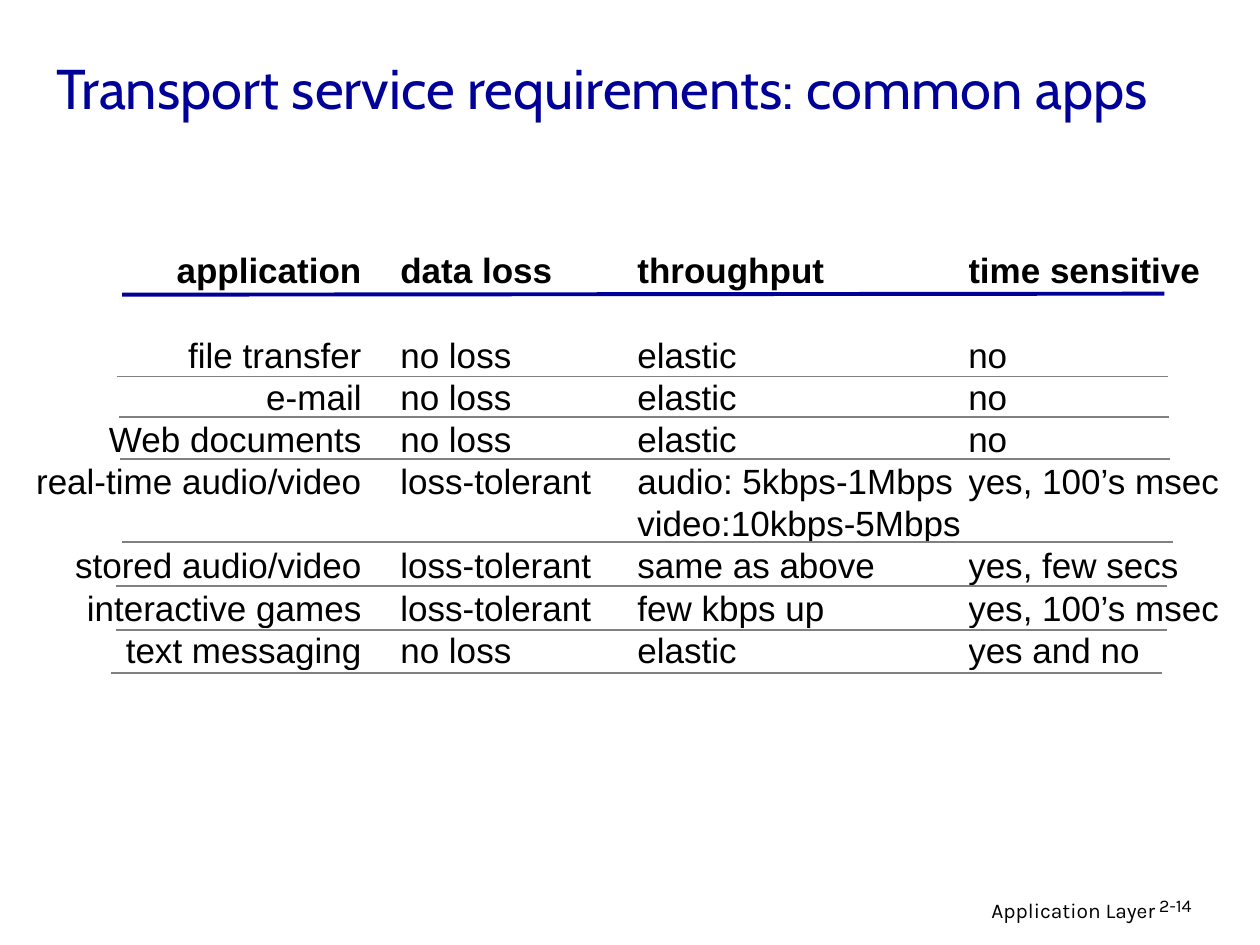
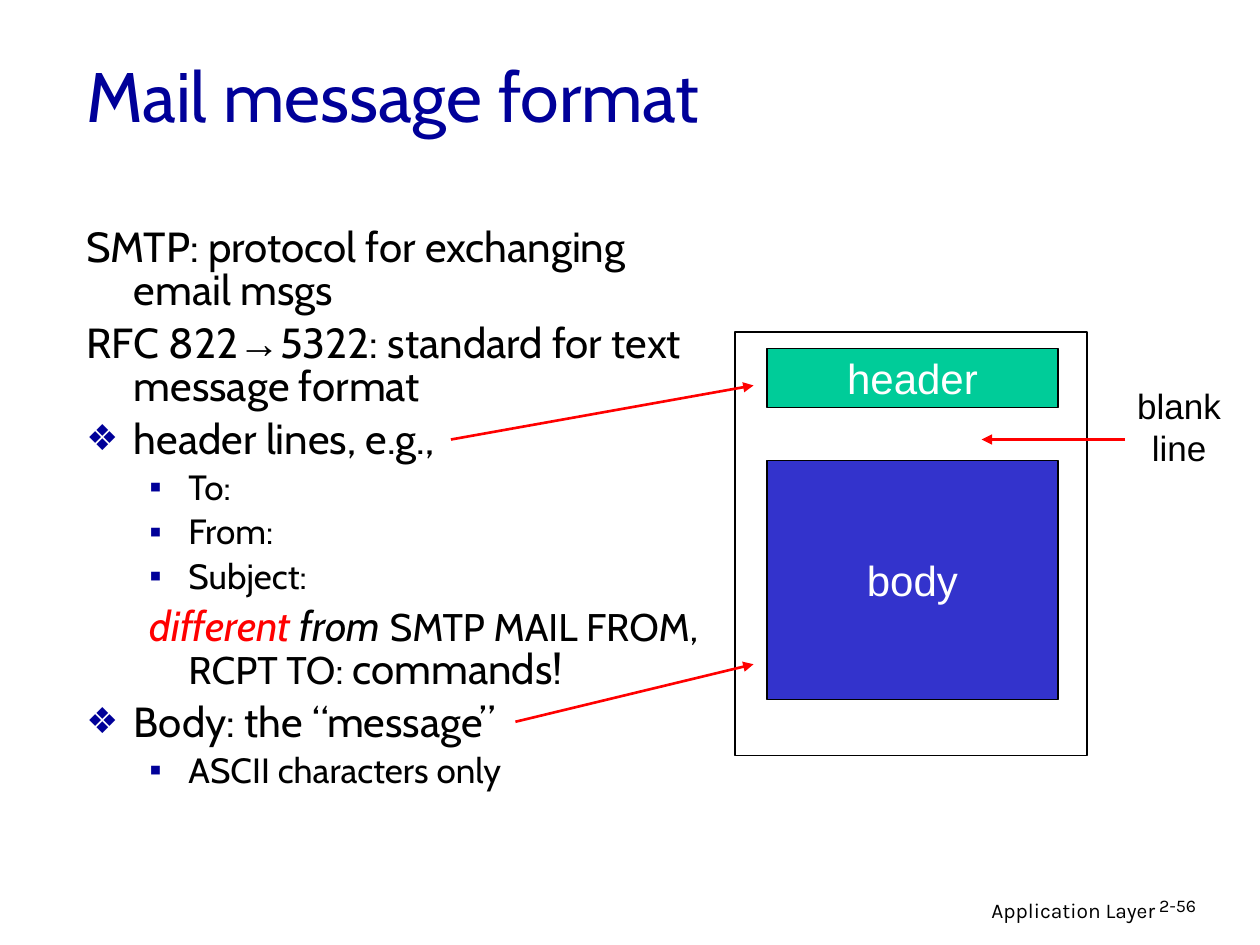
"""Build two application-layer slides: transport requirements and mail message format."""
from dataclasses import dataclass

from lxml.etree import SubElement
from pptx import Presentation
from pptx.dml.color import RGBColor as Rgb
from pptx.enum.shapes import MSO_CONNECTOR as Connector, MSO_SHAPE as Shape
from pptx.enum.text import MSO_ANCHOR as Anchor, PP_ALIGN as Align
from pptx.oxml.ns import qn
from pptx.util import Cm, Pt


@dataclass(frozen=True)
class Theme:
    navy: str = "000099"
    black: str = "000000"
    white: str = "FFFFFF"
    grey: str = "808080"
    red: str = "FF0000"
    green: str = "00CC99"
    blue: str = "3333CC"
    heading: str = "Cabin"
    plain: str = "Arial"
    footer: str = "Karla"
    footer_size: float = 12
    number_size: float = 10.2
    small: float = 20
    command: float = 22
    large: float = 24
    table_pitch: float = 24


THEME = Theme()

CHAPTER = "Application Layer"
FOOTER_BOX = (15.49, 17.96, 8.05, 0.79)
NUMBER_BOX = (23.12, 17.96, 1.88, 0.76)

REQUIREMENTS = {
    "title": "Transport service requirements: common apps",
    "title_box": (0.89, 0.62, 22.78, 2.26),
    "title_size": 32,
    "number": "2-14",
}
HEADINGS = ("application", "data loss", "throughput", "time sensitive")
APPS = [
    ("file transfer", "no loss", "elastic", "no"),
    ("e-mail", "no loss", "elastic", "no"),
    ("Web documents", "no loss", "elastic", "no"),
    ("real-time audio/video", "loss-tolerant",
     "audio: 5kbps-1Mbps\nvideo:10kbps-5Mbps", "yes, 100’s msec"),
    ("stored audio/video", "loss-tolerant", "same as above", "yes, few secs"),
    ("interactive games", "loss-tolerant", "few kbps up", "yes, 100’s msec"),
    ("text messaging", "no loss", "elastic", "yes and no"),
]
COLUMN_EDGES = (0.48, 7.82, 12.6, 19.52, 25.04)
LEFT_INSETS = (0, 0.25, 0.25, 0)
RIGHT_INSETS = (0.53, 0, 0, 0)
TABLE_TOP = 5.02
LINE_HEIGHT = 0.85
HEADING_RULE = ((2.46, 5.94), (23.47, 5.92))
RULE_LENGTH = 21.18
RULE_STARTS = [(2.36, 7.59), (2.39, 8.41), (2.41, 9.25), (2.46, 10.92),
               (2.34, 11.81), (2.34, 12.7), (2.24, 13.56)]

MAIL = {
    "title": "Mail message format",
    "title_box": (1.49, 0.31, 21.59, 3.18),
    "title_size": 40,
    "number": "2-56",
}
NOTES_BOX = (1.49, 4.47, 12.93, 12.9)
LEVELS = {
    "statement": {"indent": (0.96, -0.96), "before": 6, "size": THEME.large},
    "point": {"indent": (0.96, -0.96), "before": 6, "size": THEME.large,
              "bullet": ("❖", 85, THEME.heading)},
    "detail": {"indent": (2.06, -0.79), "before": 5, "size": THEME.small,
               "bullet": ("▪", 100, THEME.plain)},
    "remark": {"indent": (2.06, -0.79), "before": 6, "size": THEME.large},
}
NOTES = [
    ("statement", [("SMTP: protocol for exchanging email msgs", {})]),
    ("statement", [("RFC 822", {}), ("→", {"font": THEME.plain}),
                   ("5322: standard for text message format", {})]),
    ("point", [("header lines, e.g.,", {})]),
    ("detail", [("To:", {})]),
    ("detail", [("From:", {})]),
    ("detail", [("Subject:", {})]),
    ("remark", [("different ", {"color": THEME.red, "italic": True}),
                ("from ", {"italic": True}),
                ("SMTP MAIL FROM, RCPT TO:", {"size": THEME.command}),
                (" commands!", {})]),
    ("point", [("Body: the “message”", {})]),
    ("detail", [("ASCII characters only", {})]),
]
MESSAGE_PARTS = [
    ("header", (15.46, 7.02, 5.87, 1.19), THEME.green, 0.75),
    ("body", (15.46, 9.28, 5.87, 4.83), THEME.blue, 0.75),
    ("", (14.82, 6.7, 7.09, 8.53), None, 1),
]
BLANK_LINE = ("blank", "line")
BLANK_LINE_BOX = (22.52, 7.62, 2.5, 1.96)
POINTERS = [
    ((9.09, 8.86), (15.19, 7.77)),
    ((10.39, 14.55), (15.19, 13.39)),
    ((22.68, 8.86), (19.79, 8.86)),
]


def color_of(code):
    return Rgb.from_string(code)


def lengths(values):
    return [Cm(value) for value in values]


def add_run(paragraph, text, size, font=THEME.plain, color=THEME.black, bold=False, italic=False):
    run = paragraph.add_run()
    run.text = text
    run.font.size, run.font.name = Pt(size), font
    run.font.bold, run.font.italic = bold, italic
    run.font.color.rgb = color_of(color)


def write_lines(frame, lines, align=Align.LEFT, spacing=None, **style):
    for index, line in enumerate(lines):
        paragraph = frame.add_paragraph() if index else frame.paragraphs[0]
        paragraph.alignment, paragraph.line_spacing = align, spacing
        add_run(paragraph, line, **style)


def add_text(slide, box, lines, anchor=Anchor.TOP, **style):
    frame = slide.shapes.add_textbox(*lengths(box)).text_frame
    frame.word_wrap, frame.vertical_anchor = True, anchor
    write_lines(frame, lines, **style)
    return frame


def add_line(slide, start, end, color, width, arrow=False):
    line = slide.shapes.add_connector(Connector.STRAIGHT, *lengths(start + end))
    line.line.color.rgb = color_of(color)
    line.line.width = Pt(width)
    if arrow:
        SubElement(line.line._get_or_add_ln(), qn("a:tailEnd"), type="triangle")
    SubElement(line._element.spPr, qn("a:effectLst"))


def start_slide(deck, heading):
    slide = deck.slides.add_slide(deck.slide_layouts[6])
    add_text(slide, FOOTER_BOX, [CHAPTER], align=Align.RIGHT,
             size=THEME.footer_size, font=THEME.footer)
    add_text(slide, NUMBER_BOX, [heading["number"]], spacing=0.9,
             size=THEME.number_size, font=THEME.footer)
    add_text(slide, heading["title_box"], [heading["title"]], anchor=Anchor.MIDDLE,
             size=heading["title_size"], font=THEME.heading, color=THEME.navy)
    return slide


def add_requirements(slide):
    rows = [HEADINGS] + APPS
    line_counts = [2] + [max(text.count("\n") + 1 for text in app) for app in APPS]
    box = (COLUMN_EDGES[0], TABLE_TOP, COLUMN_EDGES[-1] - COLUMN_EDGES[0],
           LINE_HEIGHT * sum(line_counts))
    table = slide.shapes.add_table(len(rows), len(HEADINGS), *lengths(box)).table
    table.first_row = table.horz_banding = False
    for column, left, right in zip(table.columns, COLUMN_EDGES, COLUMN_EDGES[1:]):
        column.width = Cm(right - left)
    for row_index, (row, count) in enumerate(zip(rows, line_counts)):
        table.rows[row_index].height = Cm(LINE_HEIGHT * count)
        for column_index, text in enumerate(row):
            cell = table.cell(row_index, column_index)
            cell.fill.background()
            cell.margin_top = cell.margin_bottom = 0
            cell.margin_left = Cm(LEFT_INSETS[column_index])
            cell.margin_right = Cm(RIGHT_INSETS[column_index])
            write_lines(cell.text_frame, text.split("\n"),
                        Align.LEFT if column_index else Align.RIGHT,
                        Pt(THEME.table_pitch), size=THEME.small, bold=row_index == 0)
    add_line(slide, *HEADING_RULE, THEME.navy, 2.25)
    for left, top in RULE_STARTS:
        add_line(slide, (left, top), (left + RULE_LENGTH, top), THEME.grey, 1)


def format_note(paragraph, level, first):
    properties = paragraph._p.get_or_add_pPr()
    margin, hanging = level["indent"]
    properties.set("marL", str(Cm(margin)))
    properties.set("indent", str(Cm(hanging)))
    if "bullet" in level:
        mark, percent, font = level["bullet"]
        SubElement(SubElement(properties, qn("a:buClr")), qn("a:srgbClr"), val=THEME.navy)
        SubElement(properties, qn("a:buSzPct"), val=str(percent * 1000))
        SubElement(properties, qn("a:buFont"), typeface=font)
        SubElement(properties, qn("a:buChar"), char=mark)
    paragraph.line_spacing = 0.85
    paragraph.space_before = Pt(0 if first else level["before"])


def add_notes(slide):
    frame = add_text(slide, NOTES_BOX, [])
    for index, (kind, pieces) in enumerate(NOTES):
        paragraph = frame.add_paragraph() if index else frame.paragraphs[0]
        level = LEVELS[kind]
        format_note(paragraph, level, index == 0)
        for text, changes in pieces:
            add_run(paragraph, text, **{"size": level["size"], "font": THEME.heading, **changes})


def add_message(slide):
    for label, box, fill, width in MESSAGE_PARTS:
        part = slide.shapes.add_shape(Shape.RECTANGLE, *lengths(box))
        part.shadow.inherit = False
        part.line.color.rgb = color_of(THEME.black)
        part.line.width = Pt(width)
        if fill:
            part.fill.solid()
            part.fill.fore_color.rgb = color_of(fill)
            part.text_frame.vertical_anchor = Anchor.MIDDLE
            write_lines(part.text_frame, [label], Align.CENTER,
                        size=THEME.large, color=THEME.white)
        else:
            part.fill.background()
    add_text(slide, BLANK_LINE_BOX, BLANK_LINE, align=Align.CENTER, size=THEME.small)
    for start, end in POINTERS:
        add_line(slide, start, end, THEME.red, 1.5, arrow=True)


def main():
    deck = Presentation()
    deck.slide_width, deck.slide_height = Cm(25.4), Cm(19.05)
    add_requirements(start_slide(deck, REQUIREMENTS))
    mail = start_slide(deck, MAIL)
    add_notes(mail)
    add_message(mail)
    deck.save("out.pptx")


if __name__ == "__main__":
    main()
